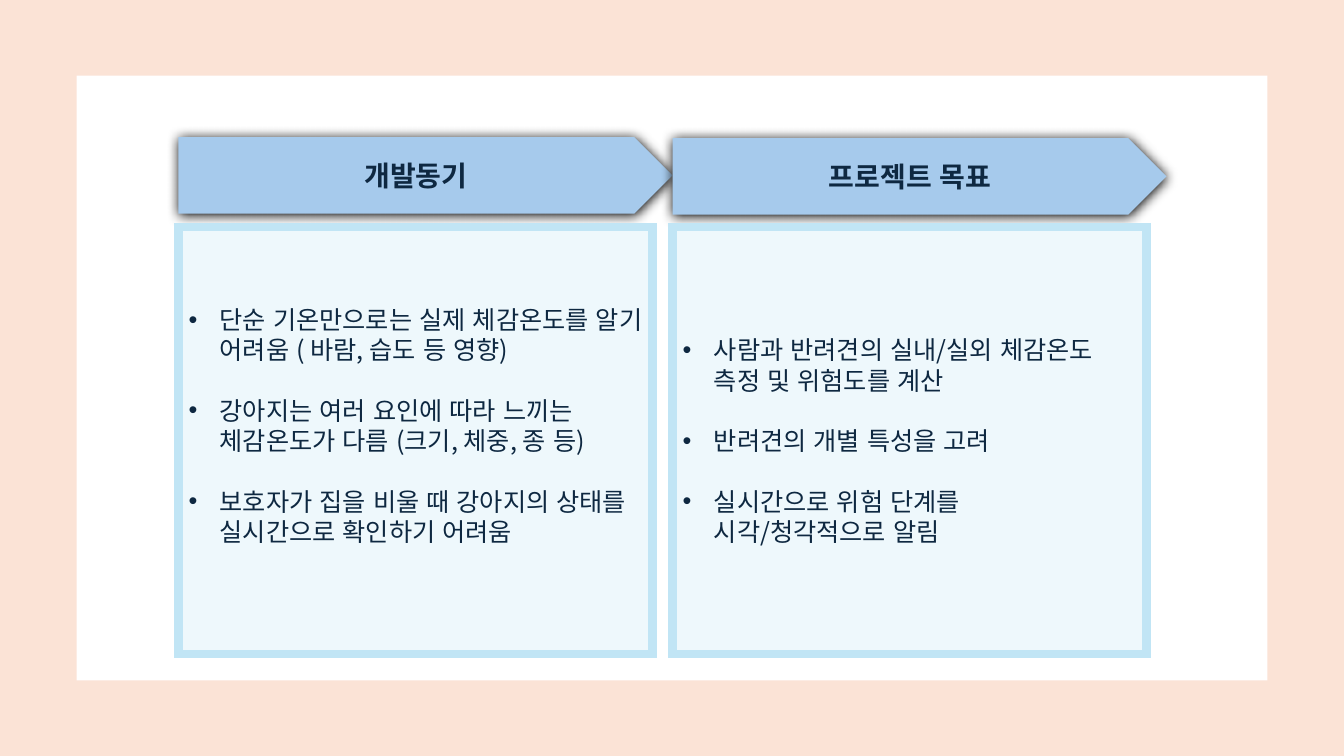
"""Build a two-column slide of motives and goals."""
from dataclasses import dataclass

from lxml import etree
from pptx import Presentation
from pptx.dml.color import RGBColor
from pptx.enum import lang, shapes, text
from pptx.oxml import ns
from pptx.util import Emu, Inches, Pt

PEACH = RGBColor(0xFB, 0xE3, 0xD6)
WHITE = RGBColor(0xFF, 0xFF, 0xFF)
SKY = RGBColor(0xA6, 0xCA, 0xEC)
PALE = RGBColor(0xEE, 0xF8, 0xFC)
EDGE = RGBColor(0xC1, 0xE5, 0xF5)
NAVY = RGBColor(0x0E, 0x28, 0x41)
FACE = "Noto Sans CJK KR"
WIDE, HIGH = Inches(13.33), Inches(7.5)
LEFT, PITCH = 13.28, 36.76
LEAD = 1.2


@dataclass
class Box:
    """Hold a place in percent of the slide's width and height."""
    left: float
    top: float
    width: float
    height: float

    def place(self) -> tuple[Emu, Emu, Emu, Emu]:
        """Return left, top, width and height as lengths."""
        return (Emu(int(WIDE * self.left / 100)), Emu(int(HIGH * self.top / 100)),
                Emu(int(WIDE * self.width / 100)), Emu(int(HIGH * self.height / 100)))


@dataclass
class Panel:
    """Describe one column: its heading, list and fine offsets."""
    head: str
    items: list[str]
    top: float
    foot: float


PANELS = [
    Panel("개발동기", [
        "단순 기온만으로는 실제 체감온도를 알기 어려움 ( 바람, 습도 등 영향)",
        "강아지는 여러 요인에 따라 느끼는 체감온도가 다름 (크기, 체중, 종 등)",
        "보호자가 집을 비울 때 강아지의 상태를 실시간으로 확인하기 어려움",
    ], 18.13, 0.35),
    Panel("프로젝트 목표", [
        "사람과 반려견의 실내/실외 체감온도 측정 및 위험도를 계산",
        "반려견의 개별 특성을 고려",
        "실시간으로 위험 단계를 시각/청각적으로 알림",
    ], 18.27, 0.05),
]


def add_tag(root, tag: str, **attrs: str):
    """Append a drawing element and return it."""
    return etree.SubElement(root, ns.qn(tag), attrs)


def add_form(slide, kind, box: Box, fill: RGBColor):
    """Draw a plain filled shape with no line."""
    form = slide.shapes.add_shape(kind, *box.place())
    form.shadow.inherit = False
    form.fill.solid()
    form.fill.fore_color.rgb = fill
    form.line.fill.background()
    return form


def add_words(para, words: str, size: int, bold: bool = False) -> None:
    """Add one styled run to a paragraph."""
    para.line_spacing = Pt(size * LEAD)
    run = para.add_run()
    run.text = words
    font = run.font
    font.name, font.size, font.bold = FACE, Pt(size), bold
    font.color.rgb = NAVY
    font.language_id = lang.MSO_LANGUAGE_ID.KOREAN
    add_tag(run._r.get_or_add_rPr(), "a:ea", typeface=FACE)


def add_head(slide, panel: Panel, left: float) -> None:
    """Draw the arrow heading of a column."""
    form = add_form(slide, shapes.MSO_SHAPE.PENTAGON, Box(left, panel.top, PITCH, 10.13), SKY)
    glow = add_tag(form._element.spPr.find(ns.qn("a:effectLst")), "a:outerShdw",
                   blurRad=str(Pt(8.5)), dist=str(Pt(1)), dir="5400000",
                   algn="t", rotWithShape="0")
    add_tag(glow, "a:srgbClr", val="000000")
    frame = form.text_frame
    frame.vertical_anchor = text.MSO_ANCHOR.MIDDLE
    para = frame.paragraphs[0]
    para.alignment = text.PP_ALIGN.CENTER
    add_words(para, panel.head, 20, True)


def fill_list(slide, panel: Panel, body, left: float) -> None:
    """Move, frame and fill the list of a column."""
    slide.shapes._spTree.append(body._element)
    body.left, body.top, body.width, body.height = Box(left, 30, 35.26, 56.53).place()
    body.fill.solid()
    body.fill.fore_color.rgb = PALE
    body.line.color.rgb = EDGE
    body.line.width = Pt(6)
    add_tag(body.line._get_or_add_ln(), "a:miter", lim="800000")
    frame = body.text_frame
    frame.word_wrap = True
    frame.auto_size = text.MSO_AUTO_SIZE.NONE
    frame.vertical_anchor = text.MSO_ANCHOR.MIDDLE
    frame.margin_bottom = Inches(panel.foot)
    for rank, item in enumerate(panel.items):
        para = frame.add_paragraph() if rank else frame.paragraphs[0]
        props = para._p.get_or_add_pPr()
        props.set("marL", str(Inches(0.31)))
        props.set("indent", str(-Inches(0.31)))
        add_tag(props, "a:buFont", typeface="Arial")
        add_tag(props, "a:buChar", char="•")
        para.alignment = text.PP_ALIGN.LEFT
        para.space_before = Pt(18 * LEAD if rank else 0)
        add_words(para, item, 18)


def main() -> None:
    """Build and save the slide."""
    deck = Presentation()
    deck.slide_width, deck.slide_height = WIDE, HIGH
    slide = deck.slides.add_slide(deck.slide_layouts[3])
    title, *lists = slide.placeholders
    title._element.getparent().remove(title._element)
    add_form(slide, shapes.MSO_SHAPE.RECTANGLE, Box(0, 0, 100, 100), PEACH)
    add_form(slide, shapes.MSO_SHAPE.RECTANGLE, Box(5.7, 10, 88.6, 80), WHITE)
    for rank, (panel, body) in enumerate(zip(PANELS, lists)):
        left = LEFT + rank * PITCH
        add_head(slide, panel, left)
        fill_list(slide, panel, body, left)
    deck.save("out.pptx")


if __name__ == "__main__":
    main()
